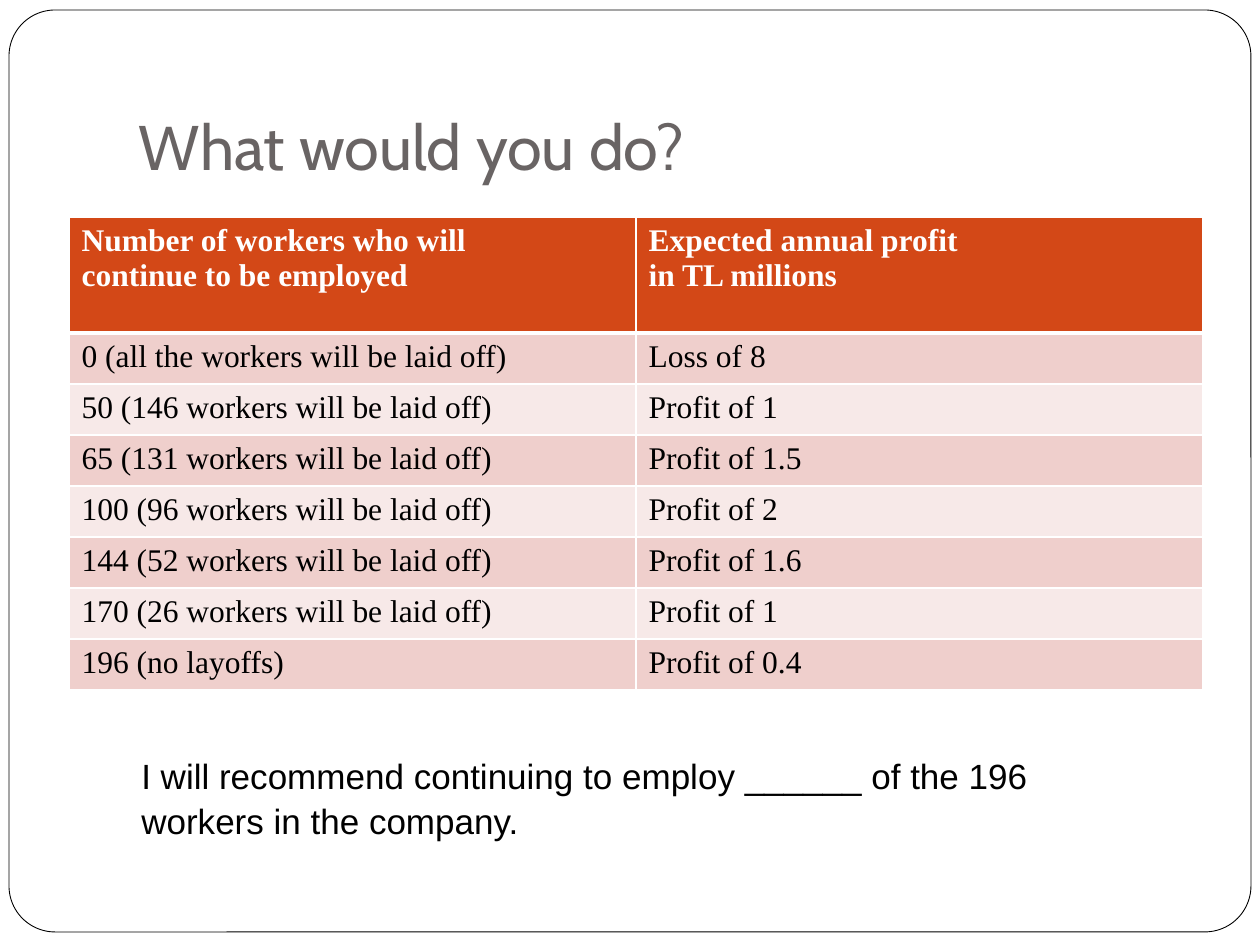
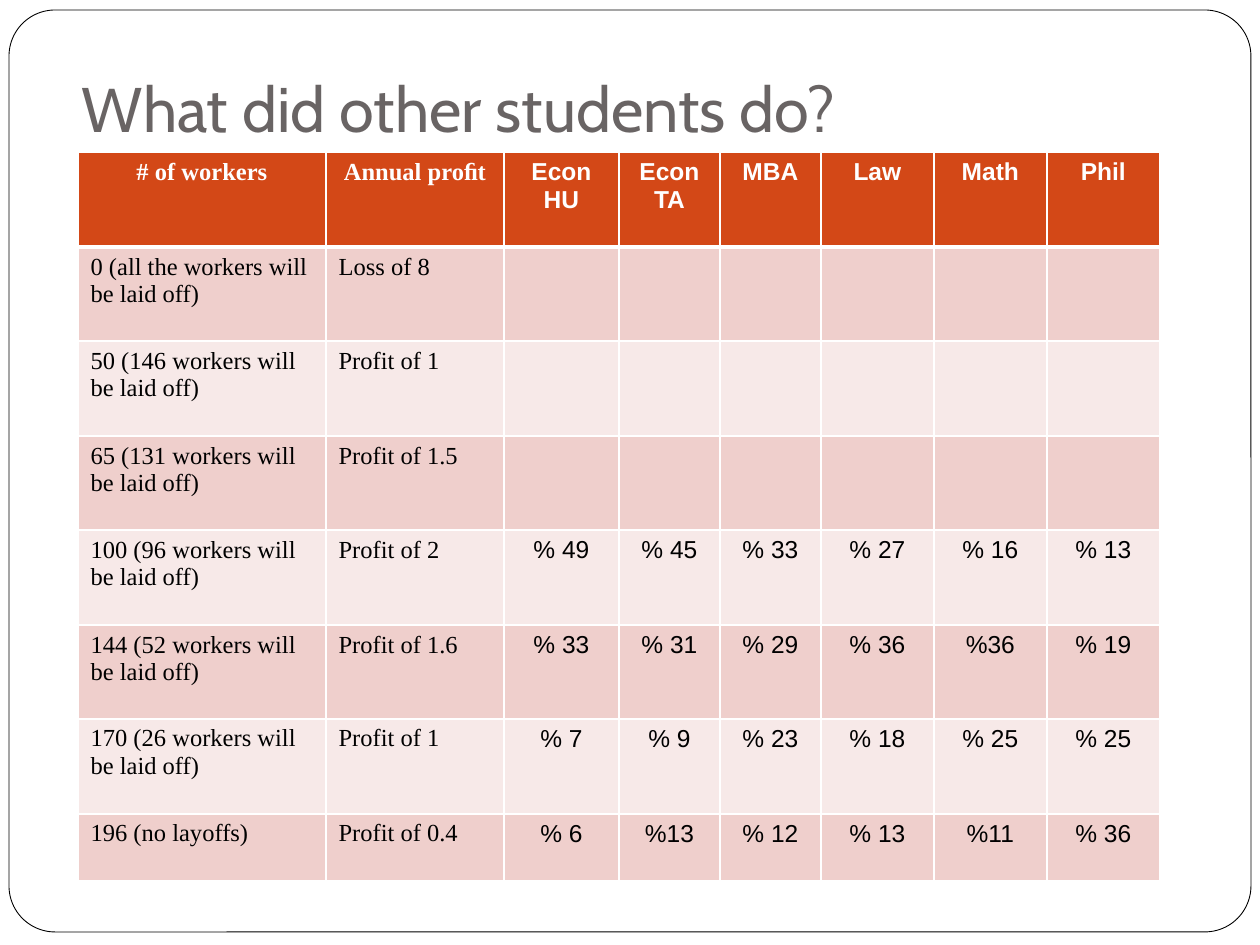
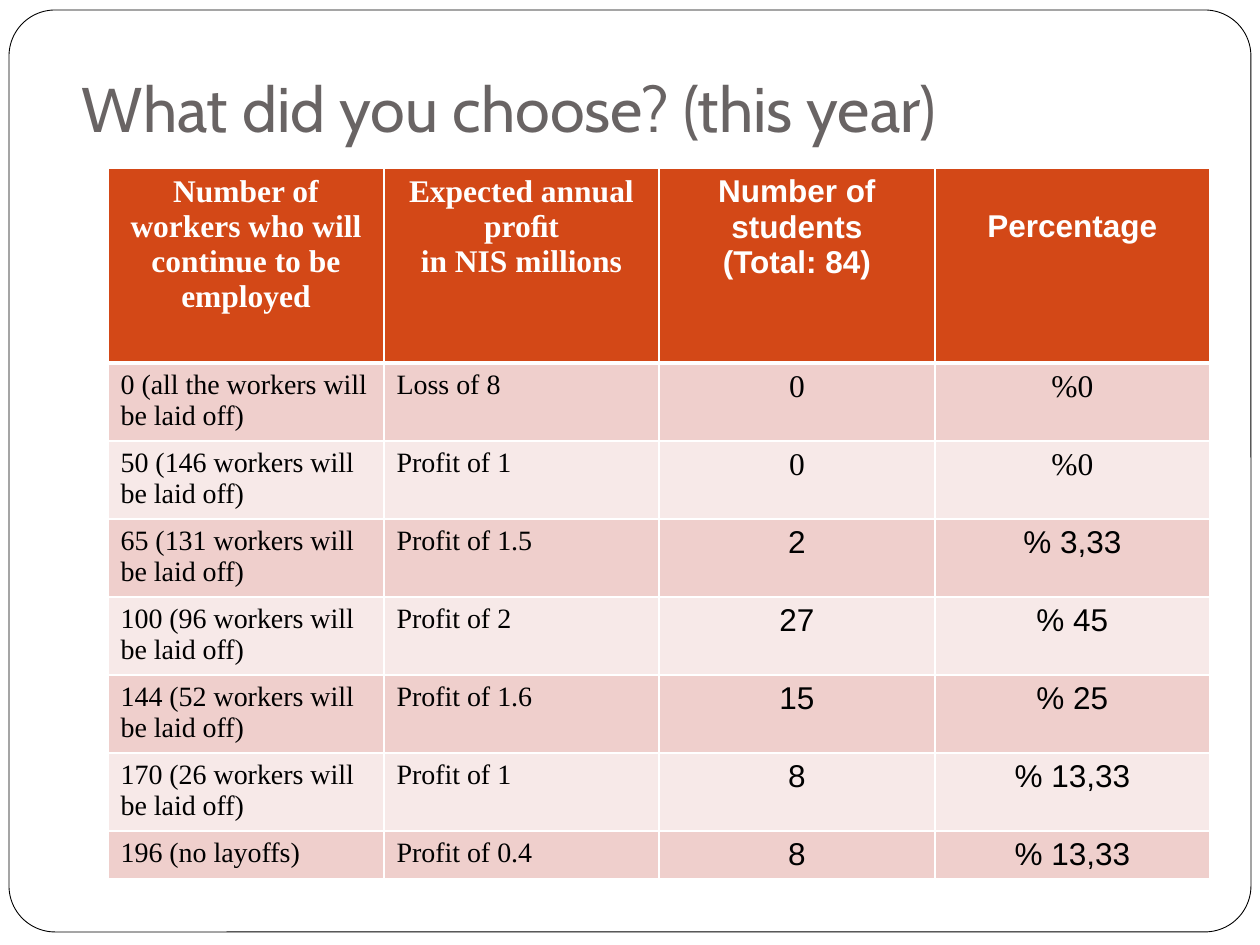
from dataclasses import dataclass

from pptx import Presentation
from pptx.dml.color import RGBColor
from pptx.enum.shapes import MSO_SHAPE
from pptx.enum.text import MSO_ANCHOR, PP_ALIGN
from pptx.oxml import parse_xml
from pptx.oxml.ns import nsdecls
from pptx.slide import Slide, SlideLayout
from pptx.table import _Cell
from pptx.text.text import TextFrame
from pptx.util import Emu, Pt

SCALE = 914400 / 126
HUES = {
    "white": "FFFFFF",
    "black": "000000",
    "title": "696464",
    "head": "D34817",
    "dark": "EFCFCC",
    "light": "F7E9E8",
}
SERIF, SANS = "Times New Roman", "Arial"
LEFT, MIDDLE = PP_ALIGN.LEFT, PP_ALIGN.CENTER

PLANS = [
    ("0 (all the workers will be laid off)", "Loss of 8"),
    ("50 (146 workers will be laid off)", "Profit of 1"),
    ("65 (131 workers will be laid off)", "Profit of 1.5"),
    ("100 (96 workers will be laid off)", "Profit of 2"),
    ("144 (52 workers will be laid off)", "Profit of 1.6"),
    ("170 (26 workers will be laid off)", "Profit of 1"),
    ("196 (no layoffs)", "Profit of 0.4"),
]
BLANK = ("",) * 6
SHARES = [
    BLANK,
    BLANK,
    BLANK,
    ("% 49", "% 45", "% 33", "% 27", "% 16", "% 13"),
    ("% 33", "% 31", "% 29", "% 36", "%36", "% 19"),
    ("% 7", "% 9", "% 23", "% 18", "% 25", "% 25"),
    ("% 6", "%13", "% 12", "% 13", "%11", "% 36"),
]
VOTES = [
    ("0", "%0"),
    ("0", "%0"),
    ("2", "% 3,33"),
    ("27", "% 45"),
    ("15", "% 25"),
    ("8", "% 13,33"),
    ("8", "% 13,33"),
]


@dataclass
class Box:
    left: int
    top: int
    width: int
    height: int


@dataclass
class Grid:
    left: int
    top: int
    cols: tuple[int, ...]
    rows: tuple[int, ...]
    heads: tuple[str, ...]
    body: list[tuple[str, ...]]
    size: int
    small: int
    align: PP_ALIGN = MIDDLE
    serif: int = 0
    drop: int = 0


@dataclass
class Page:
    title: str
    place: Box
    grid: Grid
    note: str = ""


HIGH = Box(69, 0, 1134, 158)
PAGES = [
    Page(
        "What would you do?",
        Box(126, 38, 1071, 158),
        Grid(
            69, 217, (567,) * 2, (116,) + (51,) * 7,
            ("Number of workers who will\ncontinue to be employed",
             "Expected annual profit\nin TL millions"),
            PLANS, 18, 18, align=LEFT,
        ),
        "I will recommend continuing to employ ______ of the 196 workers in the company.",
    ),
    Page(
        "What did other students do?",
        HIGH,
        Grid(
            78, 152, (248, 178, 115, 101, 101) + (113,) * 3, (95, 94) * 3 + (95, 67),
            ("# of workers", "Annual proﬁt", "Econ HU", "Econ TA",
             "MBA", "Law", "Math", "Phil"),
            [plan + share for plan, share in zip(PLANS, SHARES)], 14, 14,
        ),
    ),
    Page(
        "What did you choose? (this year)",
        HIGH,
        Grid(
            108, 168, (276, 275) * 2, (195,) + (78,) * 6 + (48,),
            ("Number of workers who will\ncontinue to be employed",
             "Expected annual proﬁt\nin NIS millions",
             "Number of students\n(Total: 84)", "Percentage"),
            [plan + vote for plan, vote in zip(PLANS, VOTES)], 18, 16,
            serif=2, drop=35,
        ),
    ),
]


def px(count: int) -> Emu:
    return Emu(round(count * SCALE))


def area(box: Box) -> tuple[Emu, ...]:
    return px(box.left), px(box.top), px(box.width), px(box.height)


def hue(name: str) -> RGBColor:
    return RGBColor.from_string(HUES[name])


def write(frame: TextFrame, text: str, *, size: int, font: str, tint: str = "black",
          bold: bool = False, align: PP_ALIGN = LEFT, pitch: float = 1.0) -> None:
    for i, line in enumerate(text.split("\n")):
        para = frame.add_paragraph() if i else frame.paragraphs[0]
        para.alignment = align
        para.line_spacing = pitch
        run = para.add_run()
        run.text = line
        run.font.size = Pt(size)
        run.font.name = font
        run.font.bold = bold
        run.font.color.rgb = hue(tint)


def edge(cell: _Cell, row: int) -> None:
    widths = {"L": 1, "R": 1, "T": 3 if row == 1 else 1, "B": 1 if row else 3}
    for i, (side, width) in enumerate(widths.items()):
        line = parse_xml(
            f'<a:ln{side} {nsdecls("a")} w="{Pt(width)}"><a:solidFill>'
            f'<a:srgbClr val="{HUES["white"]}"/></a:solidFill></a:ln{side}>'
        )
        cell._tc.get_or_add_tcPr().insert(i, line)


def fill(cell: _Cell, tint: str) -> None:
    cell.fill.solid()
    cell.fill.fore_color.rgb = hue(tint)


def draw(slide: Slide, grid: Grid) -> None:
    box = Box(grid.left, grid.top, sum(grid.cols), sum(grid.rows))
    table = slide.shapes.add_table(len(grid.rows), len(grid.cols), *area(box)).table
    table.first_row = table.horz_banding = False
    for col, width in zip(table.columns, grid.cols):
        col.width = px(width)
    for row, height in zip(table.rows, grid.rows):
        row.height = px(height)
    for r, texts in enumerate([grid.heads, *grid.body]):
        for c, text in enumerate(texts):
            cell = table.cell(r, c)
            fill(cell, ("dark" if r % 2 else "light") if r else "head")
            edge(cell, r)
            if not text:
                continue
            font = SERIF if c < 2 or 0 < r <= grid.serif else SANS
            if r:
                write(cell.text_frame, text, font=font,
                      size=grid.small if c < 2 else grid.size,
                      align=LEFT if c < 2 else MIDDLE)
            else:
                write(cell.text_frame, text, font=font, size=grid.size,
                      tint="white", bold=True, align=grid.align)
    if grid.drop:
        table.cell(0, len(grid.cols) - 1).margin_top = px(6 + grid.drop)


def border(slide: Slide, layout: SlideLayout) -> None:
    shape = slide.shapes.add_shape(MSO_SHAPE.ROUNDED_RECTANGLE, *area(Box(9, 10, 1242, 922)))
    shape.adjustments[0] = 0.05
    shape.shadow.inherit = False
    shape.fill.solid()
    shape.fill.fore_color.rgb = hue("white")
    shape.line.color.rgb = hue("black")
    shape.line.width = Pt(0.5)
    shape.element.nvSpPr.cNvPr.set("id", "20")
    layout.shapes.element.insert(2, shape.element)


def head(slide: Slide, page: Page) -> None:
    title = slide.shapes.title
    title.left, title.top, title.width, title.height = area(page.place)
    frame = title.text_frame
    frame.vertical_anchor = MSO_ANCHOR.BOTTOM
    frame.margin_left = frame.margin_right = frame.margin_bottom = px(13)
    frame.margin_top = px(6)
    write(frame, page.title, size=36, font="Cabin", tint="title")


def note(slide: Slide, text: str) -> None:
    frame = slide.shapes.add_textbox(*area(Box(129, 748, 1033, 97))).text_frame
    frame.word_wrap = True
    frame.vertical_anchor = MSO_ANCHOR.MIDDLE
    write(frame, text, size=20, font=SANS, pitch=1.08)


def main() -> None:
    deck = Presentation()
    deck.slide_width, deck.slide_height = px(1260), px(945)
    layout = deck.slide_layouts[5]
    for i, page in enumerate(PAGES):
        slide = deck.slides.add_slide(layout)
        if not i:
            border(slide, layout)
        head(slide, page)
        draw(slide, page.grid)
        if page.note:
            note(slide, page.note)
    deck.save("out.pptx")


if __name__ == "__main__":
    main()
